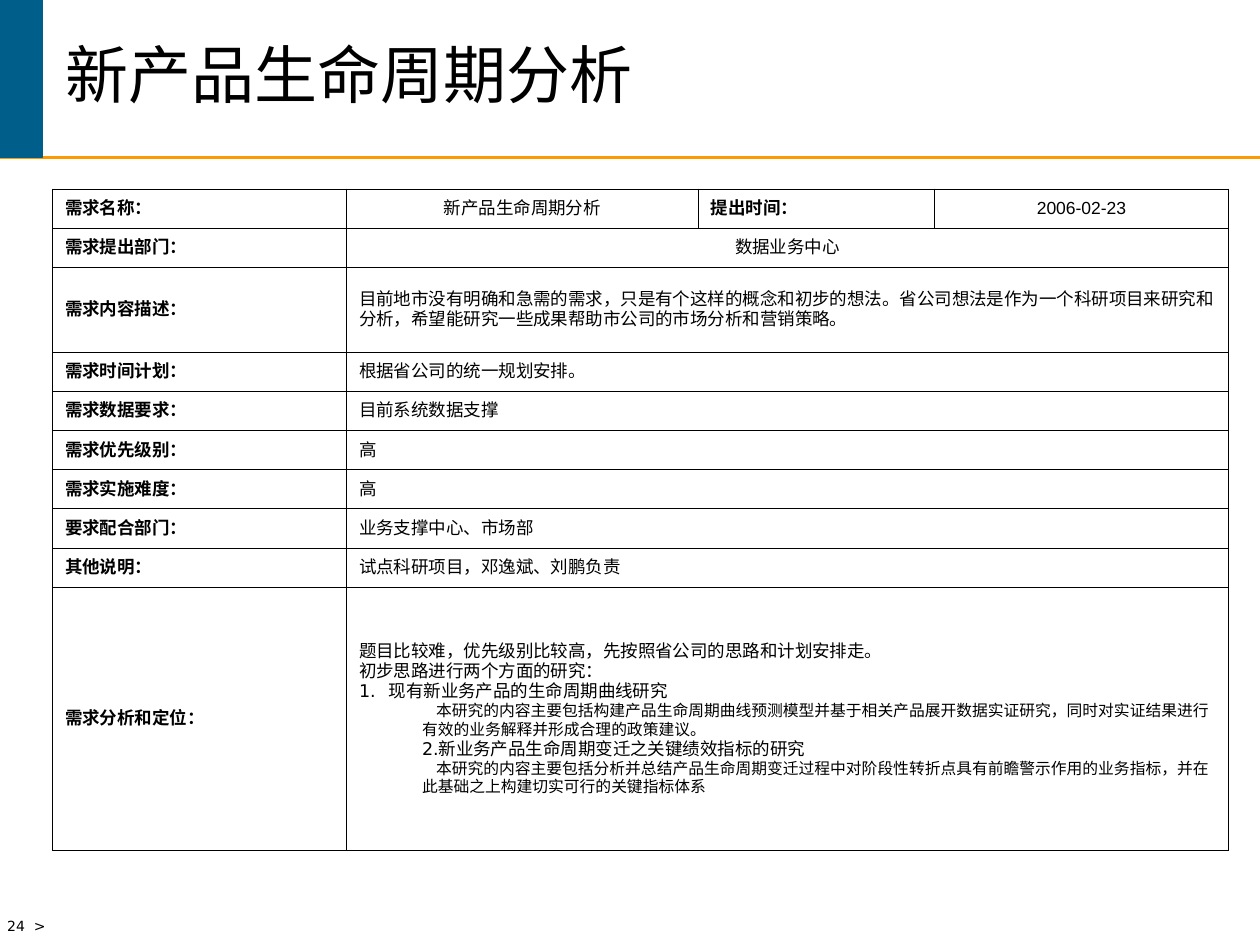
import pptx
import pptx.util
import pptx.dml.color
import pptx.enum.shapes
import pptx.enum.text
import pptx.oxml
import pptx.oxml.ns
from dataclasses import dataclass

Pt = pptx.util.Pt
Align = pptx.enum.text.PP_ALIGN
Anchor = pptx.enum.text.MSO_ANCHOR
NS = pptx.oxml.ns.nsdecls("a")


@dataclass(frozen=True)
class Theme:
    ink: str = "000000"
    blue: str = "005E8A"
    gold: str = "FF9900"
    sans: str = "DejaVu Sans"
    date: str = "Arial"
    head: float = 36
    body: float = 10
    note: float = 9
    foot: float = 8
    rule: float = 0.45


THEME = Theme()

# Table content: label, then value
FIRST = ["需求名称：", "新产品生命周期分析", "提出时间：", "2006-02-23"]
ROWS = [
    ("需求提出部门：", "数据业务中心"),
    ("需求内容描述：", "目前地市没有明确和急需的需求，只是有个这样的概念和初步的想法。"
     "省公司想法是作为一个科研项目来研究和分析，希望能研究一些成果帮助市公司的市场分析和营销策略。"),
    ("需求时间计划：", "根据省公司的统一规划安排。"),
    ("需求数据要求：", "目前系统数据支撑"),
    ("需求优先级别：", "高"),
    ("需求实施难度：", "高"),
    ("要求配合部门：", "业务支撑中心、市场部"),
    ("其他说明：", "试点科研项目，邓逸斌、刘鹏负责"),
]
LAST = "需求分析和定位："

# Paragraph kinds: left margin, first-line indent, size, numbered
PLAIN = (0, 0, THEME.body, False)
COUNT = (17, -17, THEME.body, True)
POINT = (36, 0, THEME.body, False)
NOTE = (36, 8, THEME.note, False)
PLAN = [
    ("题目比较难，优先级别比较高，先按照省公司的思路和计划安排走。", PLAIN),
    ("初步思路进行两个方面的研究：", PLAIN),
    ("现有新业务产品的生命周期曲线研究", COUNT),
    ("本研究的内容主要包括构建产品生命周期曲线预测模型并基于相关产品展开数据实证研究，"
     "同时对实证结果进行有效的业务解释并形成合理的政策建议。", NOTE),
    ("2.新业务产品生命周期变迁之关键绩效指标的研究", POINT),
    ("本研究的内容主要包括分析并总结产品生命周期变迁过程中对阶段性转折点具有前瞻警示作用的业务指标，"
     "并在此基础之上构建切实可行的关键指标体系", NOTE),
]

COLS = [168, 201, 135, 168]
LOW, MID, TALL = 22.4, 48.4, 150.4


def rgb(code):
    return pptx.dml.color.RGBColor.from_string(code)


def apply(item, form):
    for key, value in form.items():
        setattr(item, key, value)


def write(para, text, size, face=THEME.sans, bold=False, align=Align.LEFT):
    run = para.add_run()
    run.text = text
    para.alignment = align
    apply(run.font, {"name": face, "size": Pt(size), "bold": bold})
    run.font.color.rgb = rgb(THEME.ink)
    # East Asian glyphs use the same face
    run.font._element.append(
        pptx.oxml.parse_xml(f'<a:ea {NS} typeface="{face}"/>'))


def indent(para, left, first, count):
    props = para._p.get_or_add_pPr()
    props.set("marL", str(Pt(left)))
    props.set("indent", str(Pt(first)))
    if count:
        props.append(pptx.oxml.parse_xml(
            f'<a:buAutoNum {NS} type="arabicPeriod"/>'))


def frame(cell):
    props = cell._tc.get_or_add_tcPr()
    for side in "LRTB":
        props.append(pptx.oxml.parse_xml(
            f'<a:ln{side} {NS} w="{Pt(THEME.rule)}"><a:solidFill>'
            f'<a:srgbClr val="{THEME.ink}"/></a:solidFill></a:ln{side}>'))
    cell.fill.background()
    cell.vertical_anchor = Anchor.MIDDLE


def fill(cell, text, **form):
    write(cell.text_frame.paragraphs[0], text, THEME.body, **form)


def add_band(slide):
    line = slide.shapes.add_connector(
        pptx.enum.shapes.MSO_CONNECTOR.STRAIGHT, 0, Pt(90), Pt(720), Pt(90))
    line.line.color.rgb = rgb(THEME.gold)
    line.line.width = Pt(1.5)
    line._element.spPr.append(pptx.oxml.parse_xml(f"<a:effectLst {NS}/>"))
    block = slide.shapes.add_shape(
        pptx.enum.shapes.MSO_SHAPE.RECTANGLE, 0, 0, Pt(24), Pt(90))
    block.shadow.inherit = False
    block.fill.solid()
    block.fill.fore_color.rgb = block.line.color.rgb = rgb(THEME.blue)
    block.line.width = Pt(1)


def add_title(slide, text):
    title = slide.shapes.title
    apply(title, {"left": Pt(30), "top": 0, "width": Pt(672), "height": Pt(90)})
    apply(title.text_frame, {
        "vertical_anchor": Anchor.MIDDLE, "word_wrap": True,
        "auto_size": pptx.enum.text.MSO_AUTO_SIZE.NONE})
    para = title.text_frame.paragraphs[0]
    para.line_spacing = 0.85
    write(para, text, THEME.head)


def add_foot(slide, text):
    box = slide.shapes.add_textbox(Pt(-3), Pt(521), Pt(99), Pt(19))
    box.text_frame.word_wrap = False
    write(box.text_frame.paragraphs[0], text, THEME.foot)


def add_grid(slide):
    highs = [LOW, LOW, MID] + [LOW] * 6 + [TALL]
    table = slide.shapes.add_table(
        len(highs), len(COLS), Pt(30), Pt(108),
        Pt(sum(COLS)), Pt(sum(highs))).table
    apply(table, {"first_row": False, "horz_banding": False})
    for col, wide in zip(table.columns, COLS):
        col.width = Pt(wide)
    for row, high in zip(table.rows, highs):
        row.height = Pt(high)
    for cell in table.iter_cells():
        frame(cell)

    # Top row has two label and value pairs
    for col, text in enumerate(FIRST):
        label = col % 2 == 0
        fill(table.cell(0, col), text, bold=label,
             face=THEME.date if col == 3 else THEME.sans,
             align=Align.LEFT if label else Align.CENTER)

    # Other rows have one wide value
    for row in range(1, len(highs)):
        table.cell(row, 1).merge(table.cell(row, 3))
    for row, (label, text) in enumerate(ROWS, 1):
        fill(table.cell(row, 0), label, bold=True)
        fill(table.cell(row, 1), text,
             align=Align.CENTER if row == 1 else Align.LEFT)

    # Analysis row
    end = len(highs) - 1
    fill(table.cell(end, 0), LAST, bold=True)
    body = table.cell(end, 1).text_frame
    for pos, (text, (left, first, size, count)) in enumerate(PLAN):
        para = body.add_paragraph() if pos else body.paragraphs[0]
        indent(para, left, first, count)
        write(para, text, size)


def main():
    deck = pptx.Presentation()
    apply(deck, {"slide_width": Pt(720), "slide_height": Pt(540)})
    slide = deck.slides.add_slide(deck.slide_layouts[5])
    add_band(slide)
    add_title(slide, "新产品生命周期分析")
    add_grid(slide)
    add_foot(slide, "24  >")
    deck.save("out.pptx")


if __name__ == "__main__":
    main()
